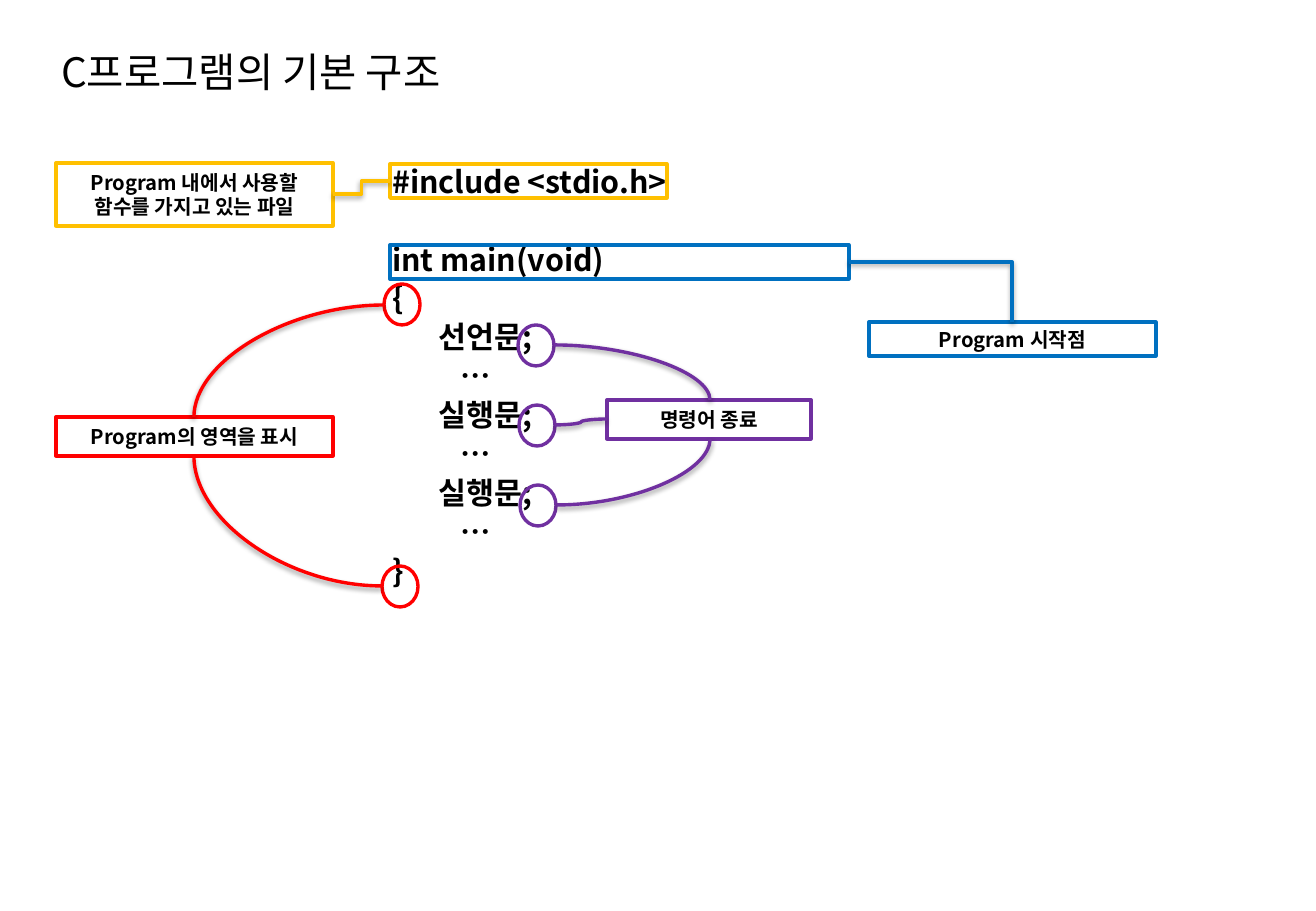
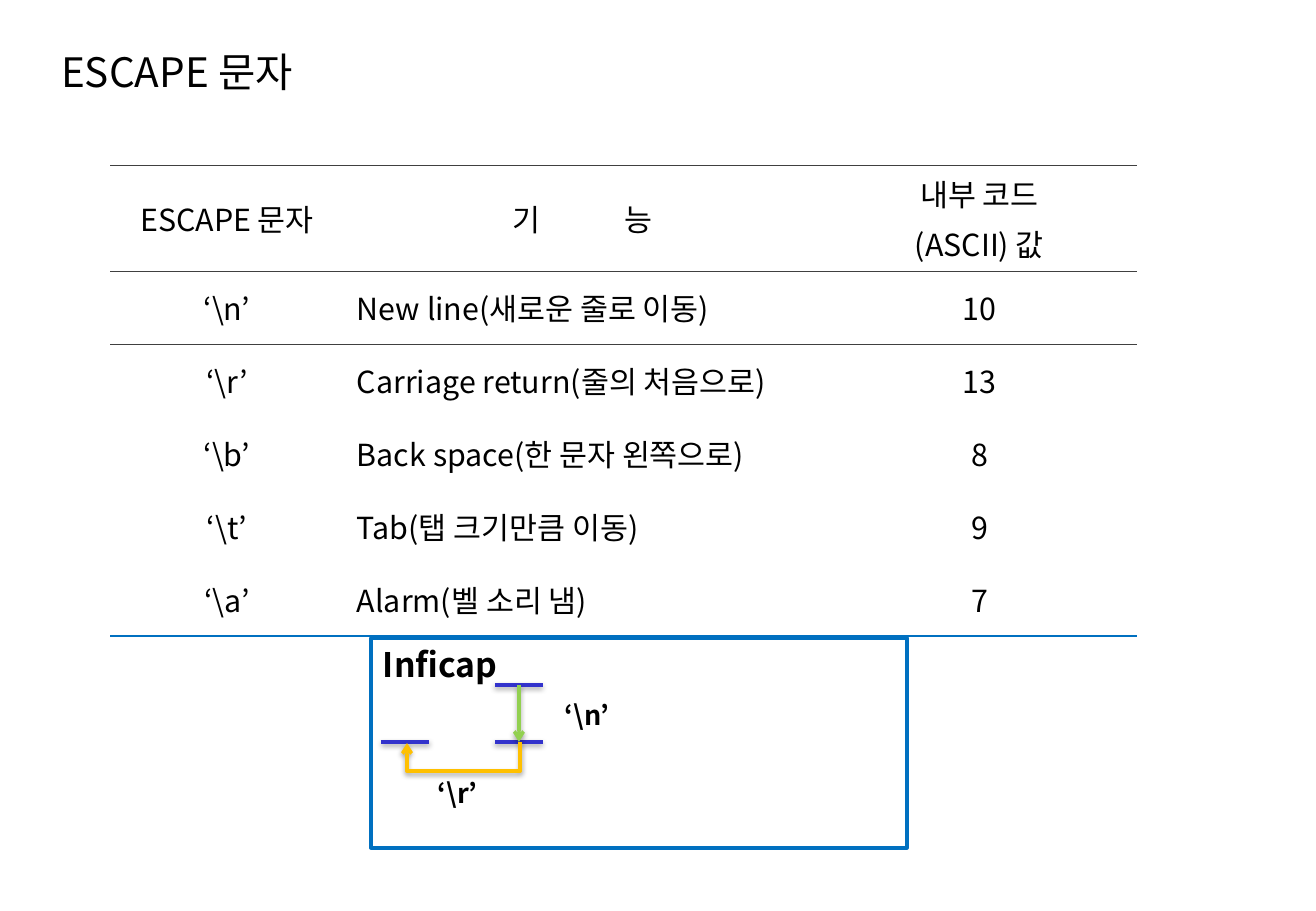
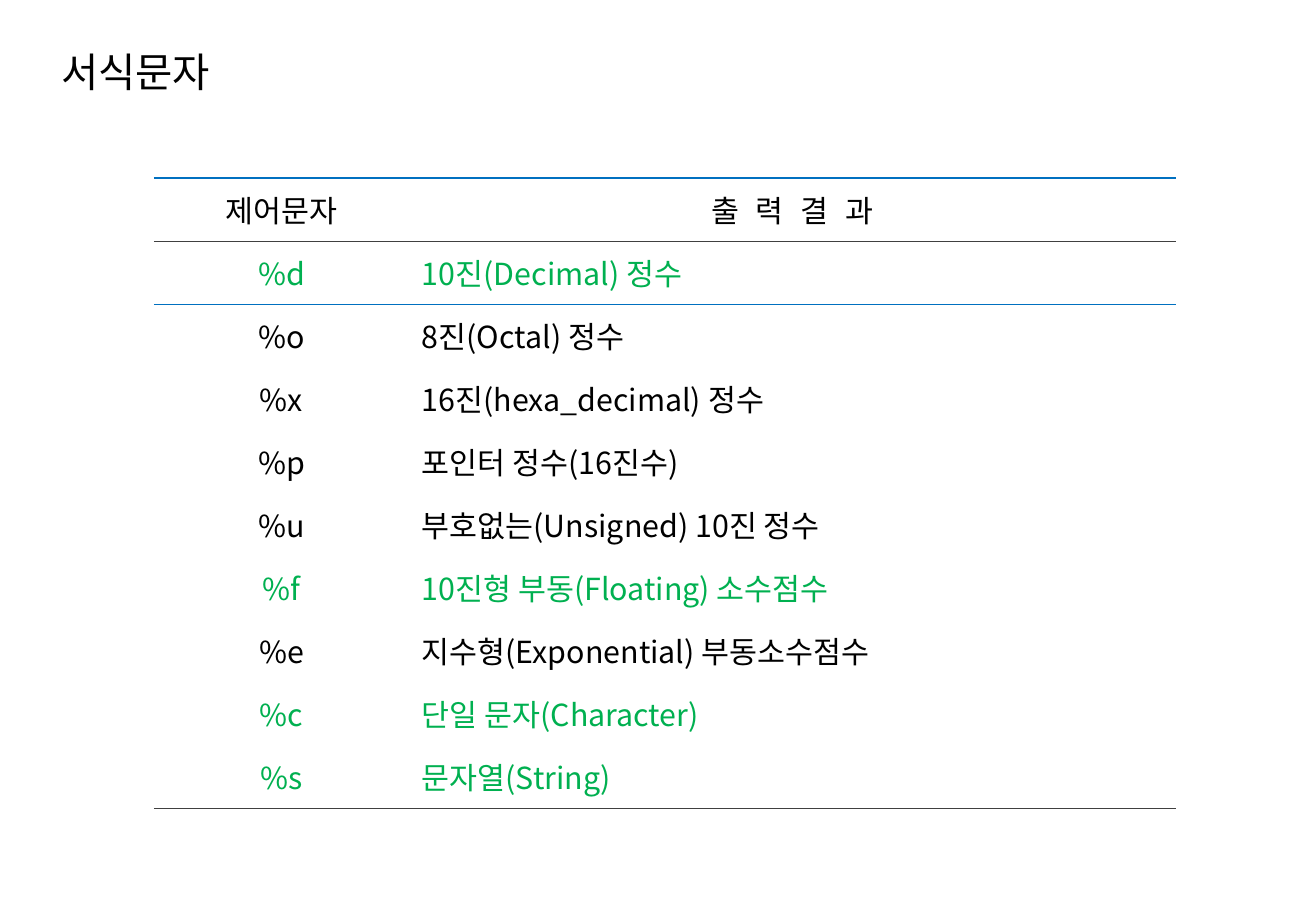
"""Build three slides on C program structure, escapes and format codes."""
from lxml import etree
from pptx import Presentation
from pptx.dml.color import RGBColor
from pptx.enum.shapes import MSO_CONNECTOR, MSO_SHAPE
from pptx.enum.text import MSO_ANCHOR, MSO_AUTO_SIZE, PP_ALIGN
from pptx.oxml import parse_xml
from pptx.oxml.ns import qn
from pptx.util import Pt

RECT, OVAL = MSO_SHAPE.RECTANGLE, MSO_SHAPE.OVAL
LINE, BENT, CURVE = MSO_CONNECTOR.STRAIGHT, MSO_CONNECTOR.ELBOW, MSO_CONNECTOR.CURVE
LEFT, MID = PP_ALIGN.LEFT, PP_ALIGN.CENTER
TOP, CENTER = MSO_ANCHOR.TOP, MSO_ANCHOR.MIDDLE
FIXED = MSO_AUTO_SIZE.NONE
SCALE = 7526
FONT = "Noto Sans CJK KR"
BLACK, WHITE, GRAY = "000000", "FFFFFF", "404040"
GOLD, BLUE, RED, PURPLE = "FFC000", "0070C0", "FF0000", "7030A0"
NAVY, LIME, GREEN = "3333CC", "92D050", "00B050"
PLAIN = "{2D5ABB26-0587-4C30-8999-92F81FD0307C}"
SPACE = "http://schemas.openxmlformats.org/drawingml/2006/main"
SHADOW = (f'<a:effectLst xmlns:a="{SPACE}"><a:outerShdw blurRad="40000" dist="20000" '
          'dir="5400000" rotWithShape="0"><a:srgbClr val="000000"><a:alpha val="38000"/>'
          '</a:srgbClr></a:outerShdw></a:effectLst>')

TITLES = ["C프로그램의 기본 구조", "ESCAPE 문자", "서식문자"]
CODE = [("#include <stdio.h>", 0, 0), ("int main(void)", 0, 26.6), ("{", 0, 3.6),
        ("선언문;", 46, 3.6), ("…", 68, 3.6), ("실행문;", 46, 3.6), ("…", 68, 3.6),
        ("실행문;", 46, 3.6), ("…", 68, 3.6), ("}", 0, 3.6)]
BOXES = [(390, 164, 277, 34, GOLD, ""),
         (56, 163, 277, 63, GOLD, "Program 내에서 사용할 함수를 가지고 있는 파일"),
         (390, 245, 459, 34, BLUE, ""),
         (869, 322, 287, 34, BLUE, "Program 시작점"),
         (56, 417, 277, 39, RED, "Program의 영역을 표시"),
         (607, 400, 204, 39, PURPLE, "명령어 종료")]
RINGS = [(384, 284, RED), (382, 566, RED),
         (518, 325, PURPLE), (519, 405, PURPLE), (520, 485, PURPLE)]
JOINS = [(CURVE, 384, 305, 194, 417, RED, "curvedConnector2"),
         (CURVE, 382, 586, 194, 456, RED, "curvedConnector2"),
         (CURVE, 554, 345, 710, 400, PURPLE, "curvedConnector2"),
         (CURVE, 557, 505, 710, 439, PURPLE, "curvedConnector2"),
         (CURVE, 607, 419, 555, 425, PURPLE, None),
         (BENT, 390, 181, 333, 194, GOLD, None),
         (BENT, 849, 262, 1012, 322, BLUE, "bentConnector2")]
ESCAPES = [["ESCAPE 문자", ("기 능", 2290), "내부 코드\n(ASCII) 값"],
           ["‘\\n’", "New line(새로운 줄로 이동)", "10"],
           ["‘\\r’", "Carriage return(줄의 처음으로)", "13"],
           ["‘\\b’", "Back space(한 문자 왼쪽으로)", "8"],
           ["‘\\t’", "Tab(탭 크기만큼 이동)", "9"],
           ["‘\\a’", "Alarm(벨 소리 냄)", "7"]]
CODES = [["제어문자", ("출 력 결 과", 300)],
         ["%d", "10진(Decimal) 정수"],
         ["%o", "8진(Octal) 정수"],
         ["%x", "16진(hexa_decimal) 정수"],
         ["%p", "포인터 정수(16진수)"],
         ["%u", "부호없는(Unsigned) 10진 정수"],
         ["%f", "10진형 부동(Floating) 소수점수"],
         ["%e", "지수형(Exponential) 부동소수점수"],
         ["%c", "단일 문자(Character)"],
         ["%s", "문자열(String)"]]
MARKED = {"%d", "%f", "%c", "%s"}
ESCAPE_RULES = {0: (GRAY, 0.5), 1: (GRAY, 0.5), 2: (GRAY, 0.5), 6: (BLUE, 1)}
CODE_RULES = {0: (BLUE, 1), 1: (GRAY, 0.5), 2: (BLUE, 0.5), 10: (GRAY, 0.5)}
BARS = [(495, 685), (495, 742), (381, 742)]
NOTES = [(553, 693, "‘\\n’"), (426, 771, "‘\\r’")]


def px(*sizes):
    return [size * SCALE for size in sizes]


def color(code):
    return RGBColor.from_string(code)


def apply(item, form):
    for name, value in form.items():
        setattr(item, name, value)


def sub(parent, tag, **attrs):
    return etree.SubElement(parent, qn(tag), attrs)


def write(para, text, size, bold=False, ink=BLACK, gap=None):
    run = para.add_run()
    run.text = text
    apply(run.font, {"size": Pt(size), "bold": bold, "name": FONT})
    run.font.color.rgb = color(ink)
    props = run._r.get_or_add_rPr()
    sub(props, "a:ea", typeface=FONT)
    if gap:
        props.set("spc", str(gap))


def place(shape, *box):
    apply(shape, dict(zip(("left", "top", "width", "height"), px(*box))))


def title(slide, text):
    head = slide.shapes.title
    place(head, 49, 38, 761, 66)
    apply(head.text_frame, {"vertical_anchor": CENTER, "auto_size": FIXED, "word_wrap": True})
    para = head.text_frame.paragraphs[0]
    para.alignment = LEFT
    write(para, text, 24)


def frame(shapes, kind, box, line, fill=None):
    shape = shapes.add_shape(kind, *px(*box))
    shape.shadow.inherit = False
    if fill:
        shape.fill.solid()
        shape.fill.fore_color.rgb = color(fill)
    else:
        shape.fill.background()
    shape.line.color.rgb = color(line)
    shape.line.width = Pt(2)
    return shape


def label(shape, text, size, align=MID, anchor=CENTER):
    apply(shape.text_frame, {"word_wrap": True, "vertical_anchor": anchor})
    para = shape.text_frame.paragraphs[0]
    para.alignment = align
    write(para, text, size, True)


def link(shapes, kind, points, ink, preset=None, arrow=False):
    line = shapes.add_connector(kind, *px(*points))
    line.line.color.rgb = color(ink)
    line.line.width = Pt(2)
    props = line._element.spPr
    if preset:
        props.find(qn("a:prstGeom")).set("prst", preset)
    if arrow:
        sub(props.find(qn("a:ln")), "a:tailEnd", type="arrow")
    props.append(parse_xml(SHADOW))
    return line


def rule(cell, side, ink, width):
    props = cell._tc.get_or_add_tcPr()
    edge = etree.Element(qn(side), {"w": str(Pt(width))})
    sub(sub(edge, "a:solidFill"), "a:srgbClr", val=ink)
    props.insert(0, edge)


def fill_cell(cell, value, align, ink):
    text, gap = value if isinstance(value, tuple) else (value, None)
    inset, = px(13)
    apply(cell, {"vertical_anchor": CENTER, "margin_left": inset, "margin_right": inset})
    cell.fill.background()
    for at, part in enumerate(text.split("\n")):
        para = cell.text_frame.add_paragraph() if at else cell.text_frame.paragraphs[0]
        para.alignment = align
        if at:
            para.space_before = Pt(3.6)
        if gap:
            write(para, part[:-1], 18, ink=ink, gap=gap)
            part = part[-1]
        write(para, part, 18, ink=ink)


def grid(slide, left, top, cols, heights, rows, rules):
    box = px(left, top, sum(cols), sum(heights))
    table = slide.shapes.add_table(len(rows), len(cols), *box).table
    apply(table, {"first_row": False, "horz_banding": False})
    table._tbl.tblPr.find(qn("a:tableStyleId")).text = PLAIN
    for col, width in zip(table.columns, px(*cols)):
        col.width = width
    for row, height in zip(table.rows, px(*heights)):
        row.height = height
    for r, values in enumerate(rows):
        ink = GREEN if values[0] in MARKED else BLACK
        for c, value in enumerate(values):
            cell = table.cell(r, c)
            fill_cell(cell, value, LEFT if r and c == 1 else MID, ink)
            if r + 1 in rules:
                rule(cell, "a:lnB", *rules[r + 1])
            if r == 0:
                rule(cell, "a:lnT", *rules[0])


def structure(slide):
    body = slide.placeholders[1]
    place(body, 380, 161, 488, 447)
    apply(body.text_frame, {"auto_size": FIXED, "vertical_anchor": TOP, "word_wrap": True})
    for at, (text, indent, before) in enumerate(CODE):
        para = body.text_frame.add_paragraph() if at else body.text_frame.paragraphs[0]
        apply(para, {"line_spacing": 0.9, "space_before": Pt(before), "alignment": LEFT})
        props = para._p.get_or_add_pPr()
        props.set("marL", str(indent * SCALE))
        props.set("indent", "0")
        sub(props, "a:buNone")
        write(para, text, 18, True)
    for *box, ink, text in BOXES:
        shape = frame(slide.shapes, RECT, box, ink)
        if text:
            label(shape, text, 12)
    for x, y, ink in RINGS:
        frame(slide.shapes, OVAL, (x, y, 36, 41), ink)
    for kind, *points, ink, preset in JOINS:
        link(slide.shapes, kind, points, ink, preset)


def cursor(slide):
    shapes = slide.shapes.add_group_shape().shapes
    screen = frame(shapes, RECT, (371, 638, 536, 210), BLUE, WHITE)
    label(screen, "Inficap", 20, LEFT, TOP)
    for x, y in BARS:
        link(shapes, LINE, (x, y, x + 48, y), NAVY)
    link(shapes, LINE, (519, 685, 519, 742), LIME, arrow=True)
    back = link(shapes, BENT, (463, 686, 464, 799), GOLD, arrow=True)
    back.rotation = 90
    guides = back._element.spPr.find(qn("a:prstGeom")).get_or_add_avLst()
    sub(guides, "a:gd", name="adj1", fmla="val 2900000")
    for x, y, text in NOTES:
        note = shapes.add_textbox(*px(x, y, 80, 45))
        label(note, text, 16, LEFT, TOP)
        note.text_frame.word_wrap = False


def main():
    deck = Presentation()
    deck.slide_width, deck.slide_height = px(1316, 911)
    slides = []
    for text, layout in zip(TITLES, (1, 5, 5)):
        slide = deck.slides.add_slide(deck.slide_layouts[layout])
        title(slide, text)
        slides.append(slide)
    structure(slides[0])
    grid(slides[1], 110, 165, [234, 478, 315], [106] + [73] * 5, ESCAPES, ESCAPE_RULES)
    cursor(slides[1])
    grid(slides[2], 154, 178, [255, 767], [63] * 10, CODES, CODE_RULES)
    deck.save("out.pptx")


if __name__ == "__main__":
    main()
